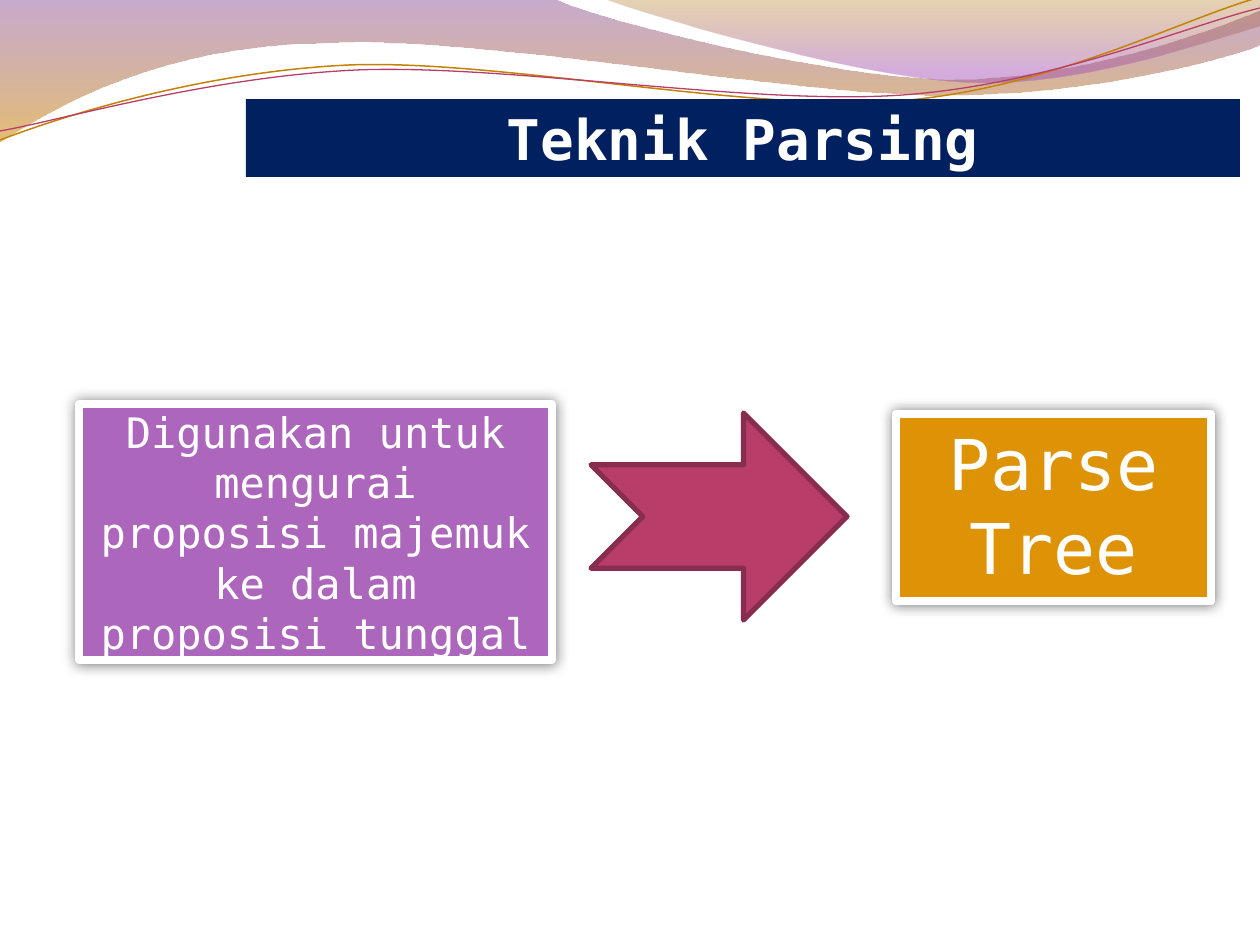
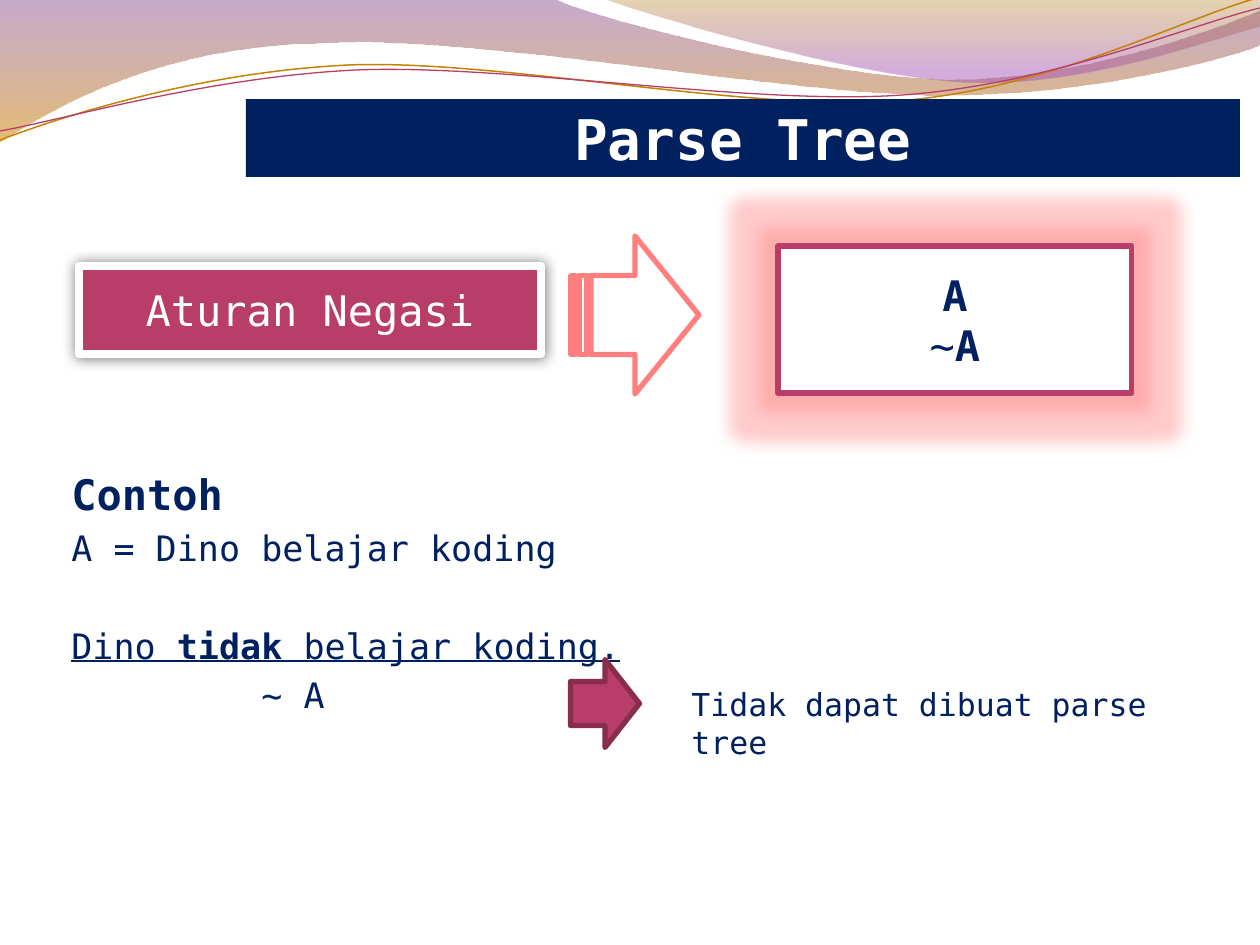
"""Build two slides on parsing techniques and parse trees."""
from dataclasses import dataclass

from lxml.etree import SubElement
from pptx import Presentation
from pptx.dml.color import RGBColor
from pptx.enum.shapes import MSO_SHAPE as Shape
from pptx.enum.text import MSO_ANCHOR as Anchor, MSO_AUTO_SIZE as AutoSize, PP_ALIGN as Align
from pptx.oxml.ns import qn
from pptx.util import Emu, Pt


@dataclass(frozen=True)
class Theme:
    """Colours, font and type sizes."""
    font: str = "DejaVu Sans Mono"
    navy: str = "002060"
    white: str = "FFFFFF"
    black: str = "000000"
    gold: str = "DE9306"
    purple: str = "AC66BB"
    berry: str = "B83D68"
    dark_berry: str = "882D4D"
    coral: str = "FF7F7F"
    ochre: str = "C48205"
    plum: str = "834591"
    amber: str = "CF8700"
    bronze: str = "A96E00"
    violet: str = "A14BB4"
    huge: int = 40
    title: int = 32
    large: int = 24
    medium: int = 20
    small: int = 18


THEME = Theme()
PX = 914400 / 126
TITLE_PLACE = (246, 99, 994, 78)
SHADOW = ("outerShdw", {"blurRad": Pt(7.5), "dist": 0, "dir": 0}, THEME.black, 50)
GLOW = ("glow", {"rad": Pt(18)}, THEME.coral, 40)
CARD = {"line": (THEME.white, 5), "effect": SHADOW}
BERRY_ARROW = {"fill": THEME.berry, "line": (THEME.dark_berry, 3)}
CARD_TEXT = {"size": THEME.large, "color": THEME.white}
NAVY_TEXT = {"size": THEME.medium, "color": THEME.navy}
BOLD = {"bold": True}
UNDERLINE = {"underline": True}

WAVES = [
    {"start": (0, 0),
     "steps": [(554, -1), (600, 21, 837, 79, 955, 79), (1075, 79, 1207, 33, 1260, 11),
               (1261, 45), (1239, 55, 1096, 96, 940, 95), (784, 95, 481, 35, 324, 43),
               (163, 45, 58, 105, -1, 142)],
     "stops": [(0, THEME.plum, 45), (1, THEME.amber, 55)]},
    {"start": (604, -1),
     "steps": [(641, 14, 859, 78, 969, 82), (1079, 87, 1211, 40, 1260, 26), (1260, 0)],
     "stops": [(0, THEME.bronze, 30), (0.8, THEME.violet, 45)]},
    {"start": (0, 140),
     "steps": [(60, 117, 199, 72, 349, 65), (498, 59, 747, 112, 898, 101),
               (1050, 89, 1182, 19, 1257, -2)],
     "line": (THEME.ochre, 0.85)},
    {"start": (0, 131),
     "steps": [(59, 121, 207, 77, 357, 70), (508, 64, 752, 106, 903, 95),
               (1053, 84, 1186, 26, 1260, 8)],
     "line": (THEME.berry, 0.75)},
]

SLIDES = [
    {"title": "Teknik Parsing", "boxes": [
        {"shape": Shape.RECTANGLE, "place": (896, 414, 315, 187), "fill": THEME.gold, **CARD,
         "anchor": Anchor.TOP, "font": {**CARD_TEXT, "size": THEME.huge},
         "paras": [{"runs": [("Parse Tree", {})]}]},
        {"shape": Shape.RECTANGLE, "place": (79, 404, 473, 256), "fill": THEME.purple, **CARD,
         "font": CARD_TEXT,
         "paras": [{"runs": [("Digunakan untuk mengurai proposisi majemuk "
                              "ke dalam proposisi tunggal", {})]}]},
        {"shape": Shape.NOTCHED_RIGHT_ARROW, "place": (591, 413, 256, 207), **BERRY_ARROW},
    ]},
    {"title": "Parse Tree", "boxes": [
        {"place": (59, 462, 1172, 354), "align": Align.JUSTIFY, "font": NAVY_TEXT, "paras": [
            {"runs": [("Contoh", {"size": THEME.large, **BOLD})]},
            {"runs": [("A = Dino belajar koding", {})], "before": 4.5},
            {"runs": [("Dino ", UNDERLINE), ("tidak", {**UNDERLINE, **BOLD}),
                      (" belajar koding.", UNDERLINE)], "before": 32},
            {"runs": [("~ A", {})], "before": 4, "indent": 190},
        ]},
        {"shape": Shape.RECTANGLE, "place": (778, 246, 354, 147), "fill": THEME.white,
         "line": (THEME.berry, 3), "effect": GLOW, "font": {**NAVY_TEXT, "size": THEME.large},
         "paras": [{"runs": [("A", BOLD)]}, {"runs": [("~", {}), ("A", BOLD)]}]},
        {"shape": Shape.RECTANGLE, "place": (79, 266, 462, 88), "fill": THEME.berry, **CARD,
         "font": CARD_TEXT, "paras": [{"runs": [("Aturan Negasi", {})]}]},
        {"shape": Shape.STRIPED_RIGHT_ARROW, "place": (571, 236, 128, 158),
         "fill": THEME.white, "line": (THEME.coral, 3)},
        {"shape": Shape.DOWN_ARROW, "place": (561, 669, 88, 69), "rotation": 270, **BERRY_ARROW},
        {"place": (679, 679, 483, 50), "align": Align.LEFT,
         "font": {**NAVY_TEXT, "size": THEME.small},
         "paras": [{"runs": [("Tidak dapat dibuat parse tree", {})]}]},
    ]},
]


def emu(px):
    return Emu(round(px * PX))


def rgb(value):
    return RGBColor.from_string(value)


def set_values(target, values):
    for name, value in values.items():
        setattr(target, name, value)


def set_line(shape, color, width):
    shape.line.color.rgb = rgb(color)
    shape.line.width = Pt(width)


def add_alpha(color_element, percent):
    SubElement(color_element, qn("a:alpha"), val=str(percent * 1000))


def add_effect(shape, tag, values, color, percent):
    effects = shape._element.spPr.find(qn("a:effectLst"))
    effect = SubElement(effects, qn(f"a:{tag}"), {name: str(value) for name, value in values.items()})
    add_alpha(SubElement(effect, qn("a:srgbClr"), val=color), percent)


def bend_lines(shape, steps):
    """Turn each run of three line segments that stands for a curve into one curve."""
    outline = next(shape._element.iter(qn("a:path")))
    segments = iter(outline.findall(qn("a:lnTo")))
    for step in steps:
        group = [next(segments) for _ in range(len(step) // 2)]
        if len(group) == 3:
            curve = SubElement(outline, qn("a:cubicBezTo"))
            group[0].addprevious(curve)
            for segment in group:
                curve.append(segment[0])
                outline.remove(segment)


def add_wave(page, layout, wave):
    builder = page.shapes.build_freeform(*map(emu, wave["start"]))
    points = [(emu(x), emu(y)) for step in wave["steps"] for x, y in zip(step[::2], step[1::2])]
    builder.add_line_segments(points, close="stops" in wave)
    shape = builder.convert_to_shape()
    bend_lines(shape, wave["steps"])
    shape.shadow.inherit = False
    if "stops" in wave:
        shape.line.fill.background()
        shape.fill.gradient()
        shape.fill.gradient_angle = 270
        for stop, (position, color, _) in zip(shape.fill.gradient_stops, wave["stops"]):
            stop.position = position
            stop.color.rgb = rgb(color)
        colors = list(shape._element.spPr.iter(qn("a:srgbClr")))
        for color_element, (_, _, percent) in zip(colors, wave["stops"]):
            add_alpha(color_element, percent)
    else:
        shape.fill.background()
        set_line(shape, *wave["line"])
    layout.shapes._spTree.append(shape._element)


def write_text(frame, paras, font, align=Align.CENTER, anchor=Anchor.MIDDLE):
    set_values(frame, {"word_wrap": True, "auto_size": AutoSize.NONE, "vertical_anchor": anchor})
    for index, content in enumerate(paras):
        para = frame.add_paragraph() if index else frame.paragraphs[0]
        para.alignment = align
        if "before" in content:
            para.space_before = Pt(content["before"])
        if "indent" in content:
            para._p.get_or_add_pPr().set("marL", str(emu(content["indent"])))
        for text, changes in content["runs"]:
            span = para.add_run()
            span.text = text
            values = {"name": THEME.font, "bold": False, **font, **changes}
            span.font.color.rgb = rgb(values.pop("color"))
            values["size"] = Pt(values["size"])
            set_values(span.font, values)


def add_box(page, box):
    place = [emu(px) for px in box["place"]]
    if "shape" in box:
        shape = page.shapes.add_shape(box["shape"], *place)
        shape.rotation = box.get("rotation", 0)
        shape.shadow.inherit = False
        shape.fill.solid()
        shape.fill.fore_color.rgb = rgb(box["fill"])
        set_line(shape, *box["line"])
        if "effect" in box:
            add_effect(shape, *box["effect"])
        anchor = box.get("anchor", Anchor.MIDDLE)
    else:
        shape = page.shapes.add_textbox(*place)
        anchor = Anchor.TOP
    if "paras" in box:
        write_text(shape.text_frame, box["paras"], box["font"],
                   box.get("align", Align.CENTER), anchor)


def add_title(page, text):
    title = page.shapes.title
    set_values(title, dict(zip(("left", "top", "width", "height"), map(emu, TITLE_PLACE))))
    title.fill.solid()
    title.fill.fore_color.rgb = rgb(THEME.navy)
    write_text(title.text_frame, [{"runs": [(text, BOLD)]}],
               {"size": THEME.title, "color": THEME.white})


def main():
    deck = Presentation()
    set_values(deck, {"slide_width": emu(1260), "slide_height": emu(945)})
    layout = deck.slide_layouts[5]
    pages = [deck.slides.add_slide(layout) for _ in SLIDES]
    for wave in WAVES:
        add_wave(pages[0], layout, wave)
    for page, content in zip(pages, SLIDES):
        add_title(page, content["title"])
        for box in content["boxes"]:
            add_box(page, box)
    deck.save("out.pptx")


if __name__ == "__main__":
    main()
